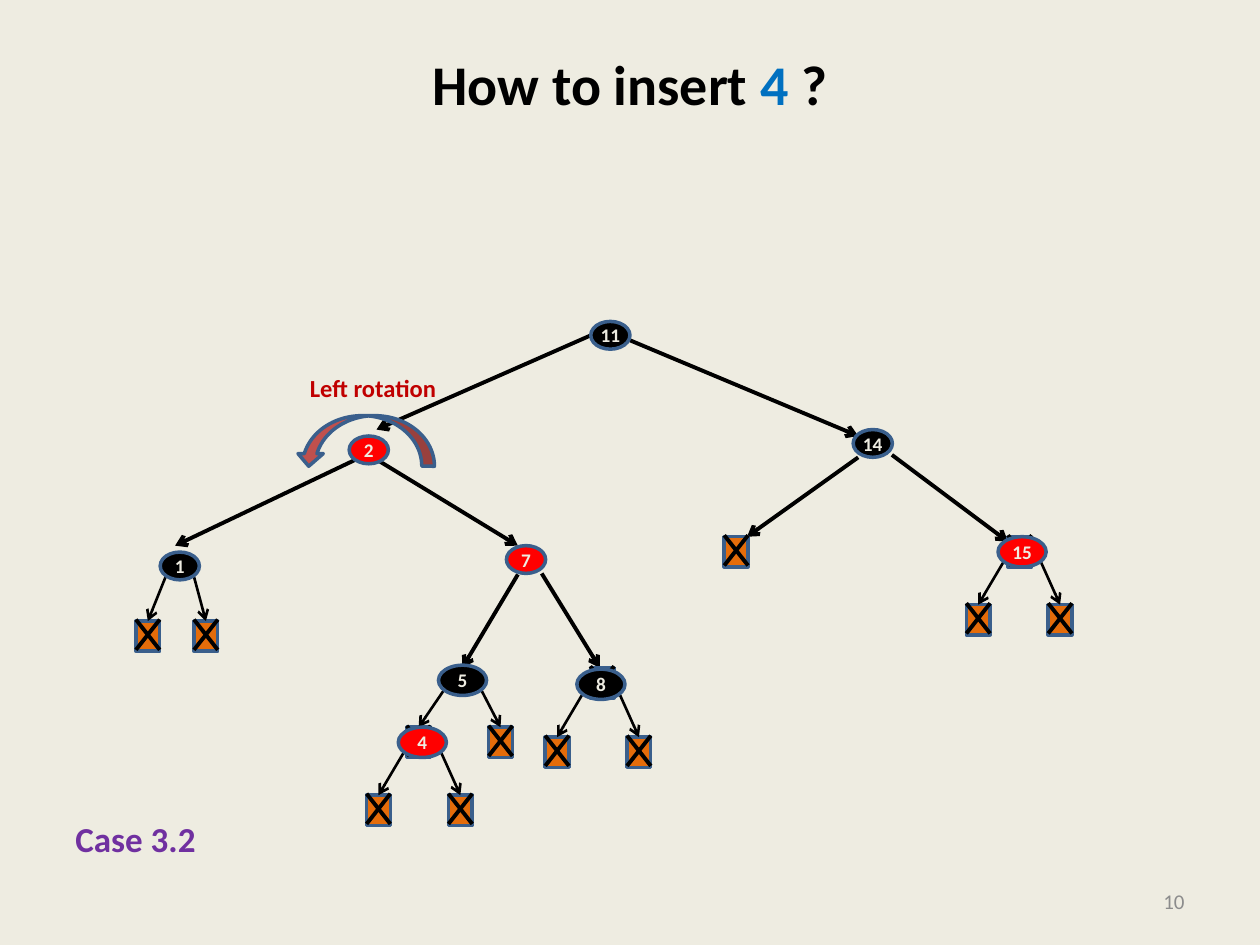
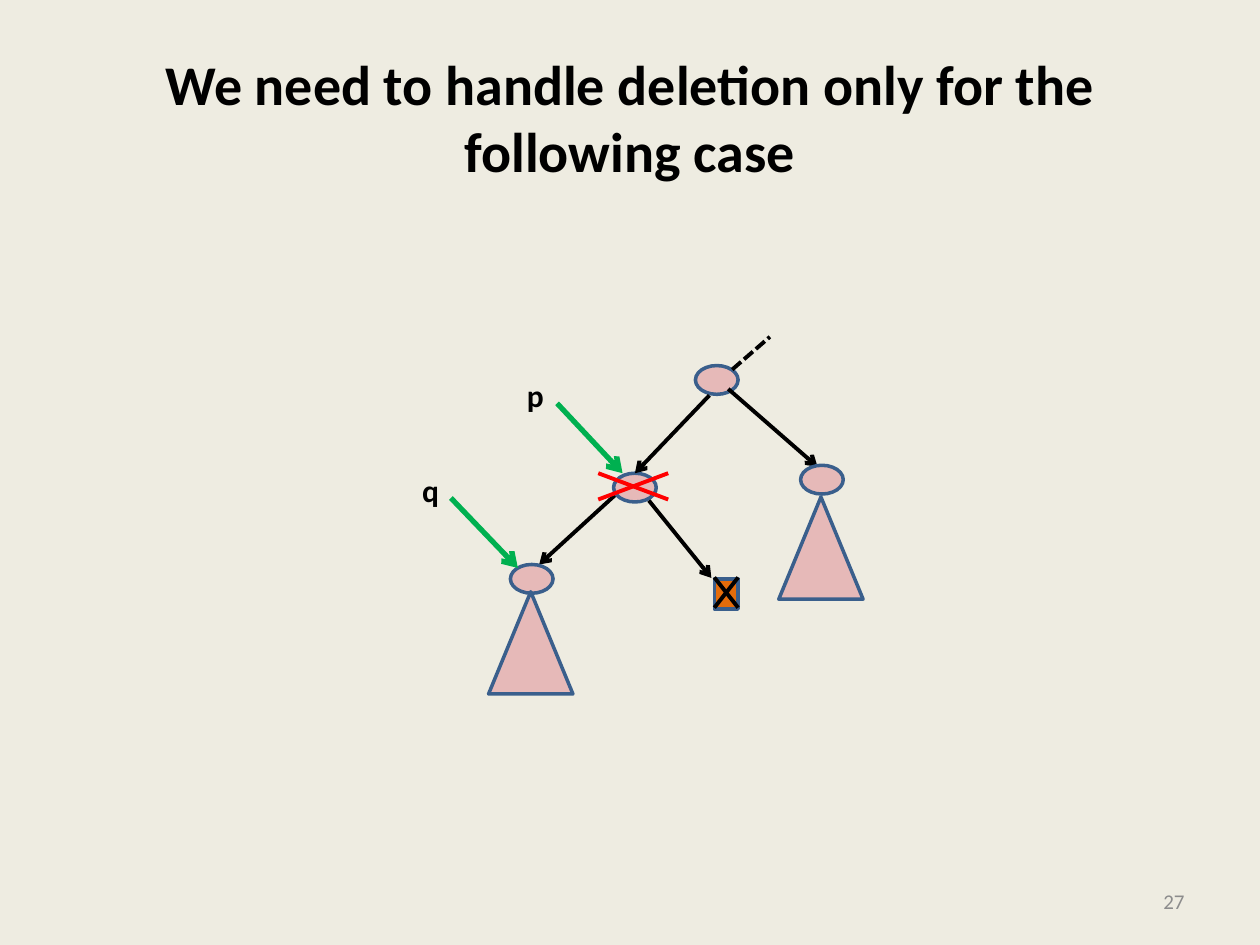
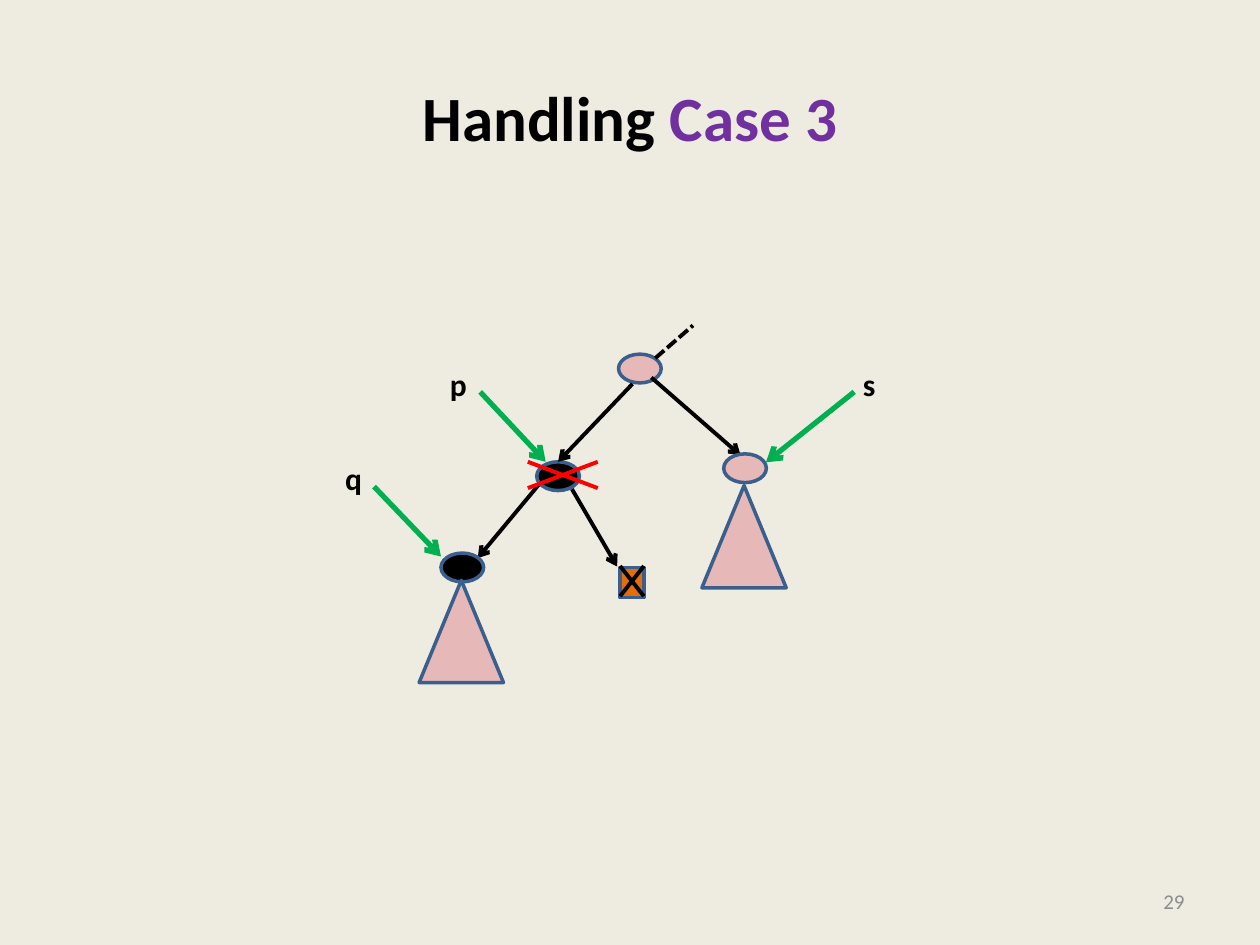
from lxml.etree import SubElement
from pptx import Presentation
from pptx.dml.color import RGBColor
from pptx.enum.dml import MSO_LINE
from pptx.enum.shapes import MSO_CONNECTOR, MSO_SHAPE
from pptx.enum.text import MSO_ANCHOR, PP_ALIGN
from pptx.oxml.ns import qn
from pptx.util import Cm, Pt

COLORS = {
    "background": "EEECE1", "black": "000000", "red": "FF0000",
    "outline": "3A5F8C", "leaf": "E46C0A", "pink": "E6B9B8",
    "pointer": "00B050", "case": "7030A0", "key": "0070C0",
    "rotation": "C0504D", "rotation_text": "C00000", "number": "8C8C8C",
}
FONT = "Calibri"

# Sizes in cm
SMALL_NODE = (0.79, 0.56)
LARGE_NODE = (0.97, 0.61)
PLAIN_NODE = (0.86, 0.58)
LEAF = (0.48, 0.61)
TRIANGLE = (1.7, 2.06)


def rgb(color):
    return RGBColor.from_string(COLORS[color])


def set_font(font, size, color, bold=True):
    font.name, font.size, font.bold = FONT, Pt(size), bold
    font.color.rgb = rgb(color)


# Shared slide parts
def add_slide(prs, title_runs, number, size=32):
    slide = prs.slides.add_slide(prs.slide_layouts[5])
    title = slide.shapes.title
    title.left, title.top, title.width, title.height = Cm(1.27), Cm(0.76), Cm(22.86), Cm(3.18)
    title.text_frame.vertical_anchor = MSO_ANCHOR.MIDDLE
    paragraph = title.text_frame.paragraphs[0]
    paragraph.alignment = PP_ALIGN.CENTER
    set_font(paragraph.font, size, "black")
    for text, color in title_runs:
        run = paragraph.add_run()
        run.text = text
        run.font.color.rgb = rgb(color)
    add_label(slide, str(number), 18.21, 17.65, 5.67, 1.02, 12, "number", PP_ALIGN.RIGHT, False)
    return slide


def write(frame, text, size, color, align=PP_ALIGN.CENTER, bold=True):
    frame.margin_left = frame.margin_right = frame.margin_top = frame.margin_bottom = 0
    frame.vertical_anchor = MSO_ANCHOR.MIDDLE
    paragraph = frame.paragraphs[0]
    paragraph.text = text
    paragraph.alignment = align
    set_font(paragraph.font, size, color, bold)


def add_label(slide, text, x, y, width, height, size, color, align=PP_ALIGN.CENTER, bold=True):
    box = slide.shapes.add_textbox(Cm(x), Cm(y), Cm(width), Cm(height))
    box.text_frame.word_wrap = True
    write(box.text_frame, text, size, color, align, bold)


# Tree parts
def add_outlined(slide, kind, x, y, size, fill):
    shape = slide.shapes.add_shape(kind, Cm(x), Cm(y), Cm(size[0]), Cm(size[1]))
    shape.shadow.inherit = False
    shape.fill.solid()
    shape.fill.fore_color.rgb = rgb(fill)
    shape.line.color.rgb = rgb("outline")
    shape.line.width = Pt(2)
    return shape


def add_line(slide, start, end, color="black", width=2.25, arrow=False):
    line = slide.shapes.add_connector(
        MSO_CONNECTOR.STRAIGHT, Cm(start[0]), Cm(start[1]), Cm(end[0]), Cm(end[1]))
    line.line.color.rgb = rgb(color)
    line.line.width = Pt(width)
    if arrow:
        SubElement(line.line._get_or_add_ln(), qn("a:tailEnd"), type="arrow")
    SubElement(line._element.spPr, qn("a:effectLst"))
    return line


def add_cross(slide, x, y, width, height, color="black"):
    add_line(slide, (x + width, y), (x, y + height), color)
    add_line(slide, (x, y), (x + width, y + height), color)


def add_leaf(slide, x, y):
    leaf = add_outlined(slide, MSO_SHAPE.RECTANGLE, x, y, LEAF, "leaf")
    add_cross(slide, x, y - 0.03, *LEAF)
    return leaf


def add_node(slide, x, y, size, fill, key=""):
    node = add_outlined(slide, MSO_SHAPE.OVAL, x, y, size, fill)
    if key:
        node.text_frame.word_wrap = False
        write(node.text_frame, key, 11, "background")


def add_leaf_pair(slide, x, y, size, spread=0.64, drop=1.37):
    """Two leaves below a node, each joined to it by a thin arrow."""
    width, height = size
    for leaf_x, start_x in ((x - spread, x + 0.14),
                            (x + width + spread - 0.6, x + width - 0.13)):
        leaf = add_leaf(slide, leaf_x, y + drop)
        start = (start_x, y + 0.75 * height)
        arrow = add_line(slide, start, (leaf_x + LEAF[0] / 2, y + drop), width=1.5, arrow=True)
        arrow.end_connect(leaf, 0)


def add_pointer(slide, name, label_at, start, end):
    add_label(slide, name, *label_at, 0.86, 1.02, 18, "black")
    add_line(slide, start, end, "pointer", 3, arrow=True)


# Slide: insertion
def draw_insertion(slide):
    edges = [
        ((11.91, 6.76), (7.59, 8.66)),    # 11 to 2
        ((12.7, 6.86), (17.3, 8.79)),     # 11 to 14
        ((7.16, 9.27), (3.53, 11)),       # 2 to 1
        ((7.57, 9.25), (10.44, 11)),      # 2 to 7
        ((10.44, 11.58), (9.32, 13.46)),  # 7 to 5
        ((10.92, 11.56), (12.09, 13.46)), # 7 to 8
        ((17.3, 9.22), (15.06, 10.82)),   # 14 to its leaf
        ((17.98, 9.17), (20.32, 10.92)),  # 14 to 15
    ]
    for start, end in edges:
        add_line(slide, start, end, arrow=True)

    for key, x, y, fill in (("11", 11.91, 6.48, "black"), ("2", 7.04, 8.79, "red"),
                            ("14", 17.2, 8.66, "black"), ("7", 10.21, 11, "red")):
        add_node(slide, x, y, SMALL_NODE, fill, key)
    add_leaf(slide, 14.6, 10.82)

    # Lowest nodes, the parent of 4 before 4 itself
    add_leaf(slide, 11.9, 13.46)
    add_leaf(slide, 20.32, 10.82)
    for key, x, y, size, fill, spread, drop in (
            ("1", 3.23, 11.13, SMALL_NODE, "black", 0.49, 1.39),
            ("8", 11.63, 13.49, LARGE_NODE, "black", 0.64, 1.37),
            ("5", 8.84, 13.41, LARGE_NODE, "black", 0.64, 1.25),
            ("4", 8.03, 14.66, LARGE_NODE, "red", 0.64, 1.37),
            ("15", 20.12, 10.82, LARGE_NODE, "red", 0.64, 1.37)):
        add_leaf_pair(slide, x, y, size, spread, drop)
        add_node(slide, x, y, size, fill, key)

    # Rotation around 2
    rotation = add_outlined(slide, MSO_SHAPE.CURVED_DOWN_ARROW, 5.97, 8.38, (2.79, 1.02), "rotation")
    rotation._element.spPr.find(qn("a:xfrm")).set("flipH", "1")
    add_label(slide, "Left rotation", 5.97, 7.39, 3.1, 0.86, 14, "rotation_text")
    add_label(slide, "Case 3.2", 1.52, 16.4, 5, 1, 20, "case", PP_ALIGN.LEFT)


# Slides: deletion
def draw_deletion(slide, origin, fill, q_x, q_edge_end, leaf_x, cross_x, show_s=False):
    """Draw the tree around p; all offsets count from the root's corner."""
    def at(x, y):
        return origin[0] + x, origin[1] + y

    add_line(slide, at(-1.5, 2.5), at(*q_edge_end), arrow=True)
    add_node(slide, *at(-1.65, 2.17), PLAIN_NODE, fill)
    add_line(slide, at(-0.94, 2.72), at(leaf_x - 0.06, 4.28), arrow=True)
    add_node(slide, *at(0, 0), PLAIN_NODE, "pink")
    add_line(slide, at(0.28, 0.6), at(-1.22, 2.17), arrow=True)
    add_line(slide, at(0.74, 0.08), at(1.5, -0.58)).line.dash_style = MSO_LINE.SQUARE_DOT
    add_line(slide, at(0.66, 0.47), at(2.46, 2.04), arrow=True)
    add_leaf(slide, *at(leaf_x, 4.3))

    # Subtrees below q and s
    for x, y, node_fill, gap in ((q_x, 4.01, fill, 0.55), (2.12, 2.01, "pink", 0.64)):
        add_node(slide, *at(x, y), PLAIN_NODE, node_fill)
        add_outlined(slide, MSO_SHAPE.ISOSCELES_TRIANGLE, *at(x - 0.44, y + gap), TRIANGLE, "pink")

    # Pointers and the removed node
    add_pointer(slide, "p", at(-3.66, 0.08), at(-2.79, 0.76), at(-1.47, 2.17))
    add_pointer(slide, "q", at(-5.77, 1.99), at(-4.93, 2.67), at(-3.58, 4.08))
    if show_s:
        add_pointer(slide, "s", at(4.62, 0.1), at(4.75, 0.76), at(2.97, 2.18))
    add_cross(slide, *at(cross_x, 2.17), 1.41, 0.53, "red")


def main():
    prs = Presentation()
    prs.slide_width, prs.slide_height = Cm(25.4), Cm(19.05)
    background = prs.slide_master.background.fill
    background.solid()
    background.fore_color.rgb = rgb("background")

    insertion = add_slide(
        prs, [("How to insert ", "black"), ("4 ", "key"), ("?", "black")], 10)
    title_frame = insertion.shapes.title.text_frame
    title_frame.vertical_anchor = MSO_ANCHOR.TOP
    title_frame.margin_top = Cm(0.23)
    draw_insertion(insertion)

    deletion = add_slide(
        prs, [("We need to handle deletion only for the following case", "black")], 27)
    draw_deletion(deletion, (14.02, 7.37), "pink", q_x=-3.73, q_edge_end=(-3.15, 4.01),
                  leaf_x=0.38, cross_x=-1.96)

    case_3 = add_slide(prs, [("Handling ", "black"), ("Case 3", "case")], 29, size=36)
    draw_deletion(case_3, (12.47, 7.14), "black", q_x=-3.58, q_edge_end=(-2.84, 4.11),
                  leaf_x=0.03, cross_x=-1.83, show_s=True)

    prs.save("out.pptx")


if __name__ == "__main__":
    main()
